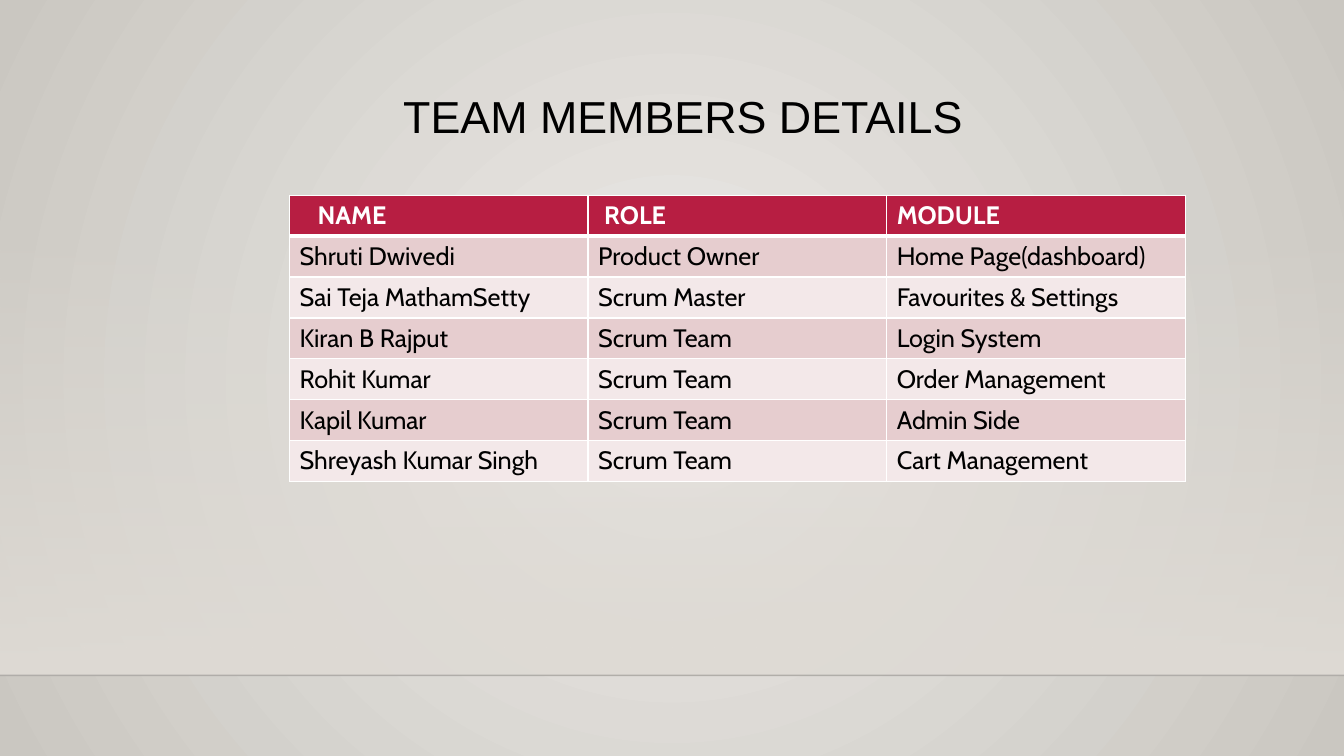
from pptx import Presentation
from pptx.util import Pt
from pptx.dml.color import RGBColor
from pptx.enum.shapes import MSO_SHAPE as Shape, MSO_CONNECTOR as Connector
from pptx.enum.text import MSO_ANCHOR as Anchor, MSO_AUTO_SIZE as AutoSize, PP_ALIGN as Align
from pptx.oxml import parse_xml
from pptx.oxml.ns import nsdecls, qn
from lxml import etree


def rgb(value):
    return RGBColor.from_string(value)


def set_alpha(parent, percent):
    color = next(parent.iter(qn("a:srgbClr")))
    etree.SubElement(color, qn("a:alpha")).set("val", str(percent * 1000))


deck = Presentation()
deck.slide_width, deck.slide_height = Pt(960), Pt(540)
slide = deck.slides.add_slide(deck.slide_layouts[5])

backdrop = slide.background.fill
backdrop.gradient()
for stop, color in zip(backdrop.gradient_stops, ("ECEAE7", "CAC7C1")):
    stop.color.rgb = rgb(color)
direction = next(slide.background._cSld.iter(qn("a:lin")))
direction.getparent().replace(direction, parse_xml(
    f'<a:path {nsdecls("a")} path="circle">'
    '<a:fillToRect l="50000" t="50000" r="50000" b="50000"/></a:path>'))

wall = slide.shapes.add_shape(Shape.RECTANGLE, 0, Pt(159), Pt(960), Pt(323.4))
wall.shadow.inherit = False
wall.line.fill.background()
wall.fill.gradient()
wall.fill.gradient_angle = 270
for stop in wall.fill.gradient_stops:
    stop.color.rgb = rgb("DFDBD5")
set_alpha(wall._element.spPr, 0)

floor_edge = slide.shapes.add_connector(Connector.STRAIGHT, 0, Pt(482.4), Pt(960), Pt(482.4))
floor_edge.line.width = Pt(1)
floor_edge.line.color.rgb = rgb("000001")
set_alpha(floor_edge._element.spPr, 20)
etree.SubElement(floor_edge._element.spPr, qn("a:effectLst"))

title = slide.shapes.title
title.left, title.top, title.width, title.height = Pt(288), Pt(63), Pt(420), Pt(38)
heading = title.text_frame
heading.text = "TEAM MEMBERS DETAILS"
heading.margin_left = heading.margin_right = heading.margin_top = heading.margin_bottom = 0
heading.vertical_anchor = Anchor.TOP
heading.auto_size = AutoSize.NONE
heading.paragraphs[0].alignment = Align.LEFT
title_font = heading.paragraphs[0].runs[0].font
title_font.name, title_font.size = "Arial", Pt(32)
title_font.color.rgb = rgb("000000")

members = [
    ("NAME", "ROLE", "MODULE"),
    ("Shruti Dwivedi", "Product Owner", "Home Page(dashboard)"),
    ("Sai Teja MathamSetty", "Scrum Master", "Favourites & Settings"),
    ("Kiran B Rajput", "Scrum Team", "Login System"),
    ("Rohit Kumar", "Scrum Team", "Order Management"),
    ("Kapil Kumar", "Scrum Team", "Admin Side"),
    ("Shreyash Kumar Singh", "Scrum Team", "Cart Management"),
]
header_indents = (12.9, 4.3, 0)
team = slide.shapes.add_table(7, 3, Pt(206.8), Pt(139.5), Pt(639.9), Pt(204.4)).table
for column in team.columns:
    column.width = Pt(213.3)

for row, member in enumerate(members):
    team.rows[row].height = Pt(29.2)
    is_header = row == 0
    row_fill = "B71E42" if is_header else ("F3E8E9", "E6CDCF")[row % 2]
    borders = {"L": 1, "R": 1, "T": 3 if row == 1 else 1, "B": 3 if is_header else 1}
    for col, text in enumerate(member):
        cell = team.cell(row, col)
        cell.text_frame.text = text
        cell.margin_left = Pt(7.2 + (header_indents[col] if is_header else 0))
        cell.fill.solid()
        cell.fill.fore_color.rgb = rgb(row_fill)
        font = cell.text_frame.paragraphs[0].runs[0].font
        font.name, font.size, font.bold = "Cabin", Pt(18), is_header
        font.color.rgb = rgb("FFFFFF" if is_header else "000000")
        for position, (side, width) in enumerate(borders.items()):
            cell._tc.tcPr.insert(position, parse_xml(
                f'<a:ln{side} {nsdecls("a")} w="{Pt(width)}"><a:solidFill>'
                f'<a:srgbClr val="FFFFFF"/></a:solidFill></a:ln{side}>'))

deck.save("out.pptx")
